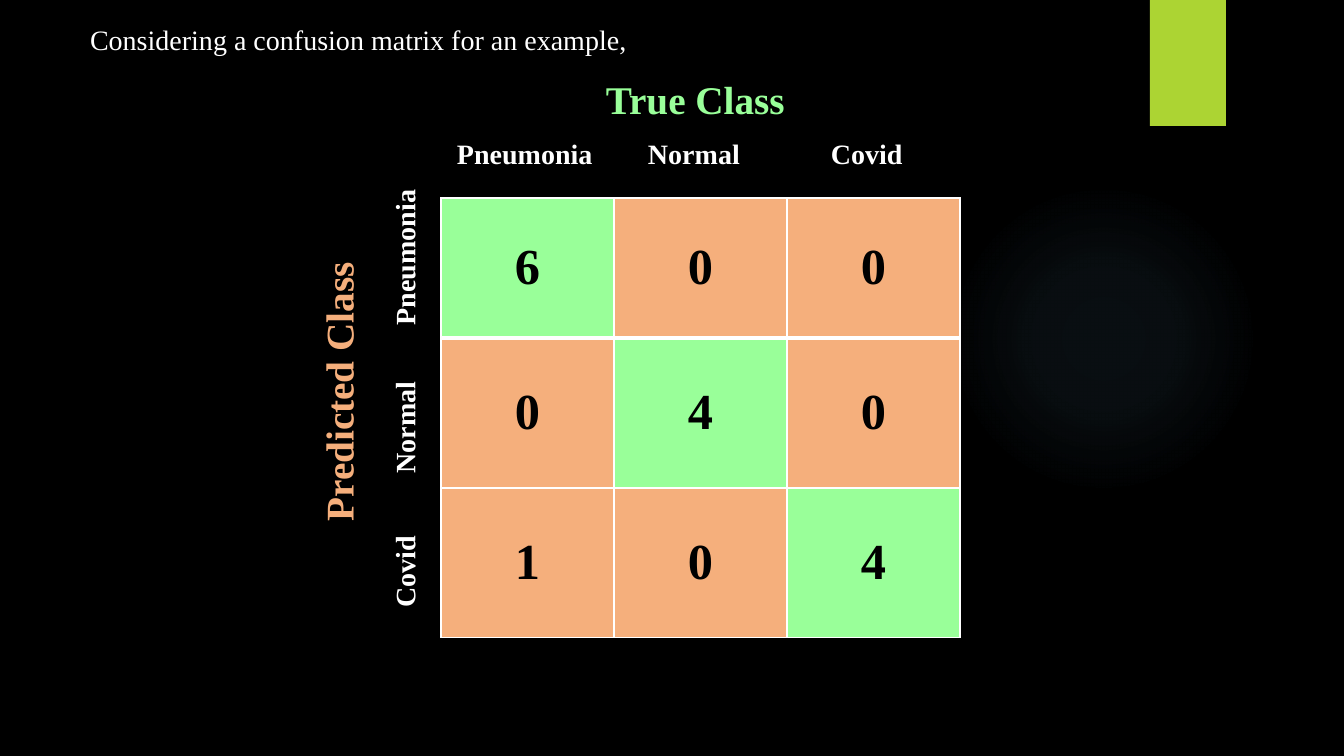
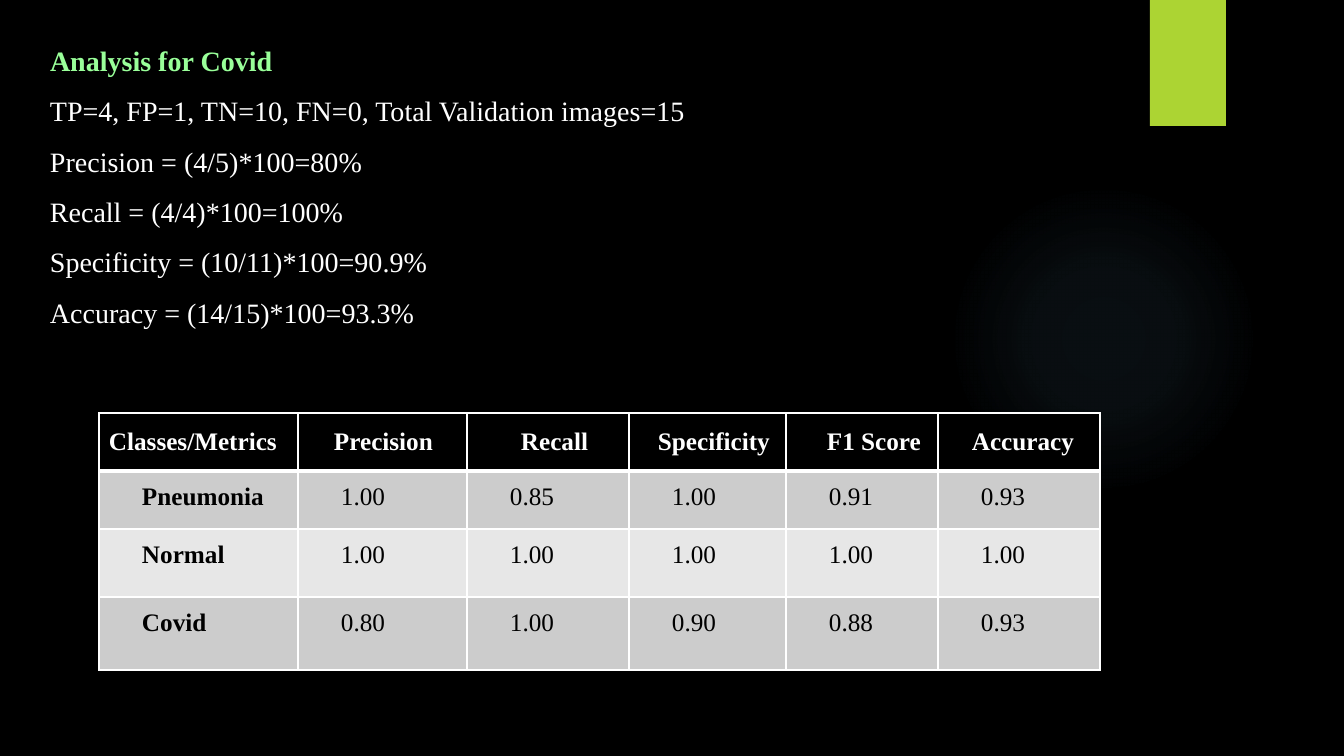
from pptx import Presentation
from pptx.dml.color import RGBColor
from pptx.enum.shapes import MSO_SHAPE
from pptx.enum.text import MSO_ANCHOR, MSO_AUTO_SIZE, PP_ALIGN
from pptx.oxml import parse_xml
from pptx.oxml.ns import nsdecls
from pptx.util import Emu, Pt

LEFT, CENTER = PP_ALIGN.LEFT, PP_ALIGN.CENTER
TOP, MIDDLE = MSO_ANCHOR.TOP, MSO_ANCHOR.MIDDLE
RECT, OVAL = MSO_SHAPE.RECTANGLE, MSO_SHAPE.OVAL
TITLE_ONLY = 5
FONT = "Times New Roman"
COLORS = {
    "black": "000000",
    "white": "FFFFFF",
    "lime": "ACD433",
    "green": "99FF99",
    "orange": "F5AF7C",
    "glow": "7AC4F0",
    "band_dark": "CCCCCC",
    "band_light": "E7E7E7",
}
GLOW_STOPS = [(0, 7), (36, 6), (69, 0)]  # position %, opacity %
CELL_INSETS = (10, 5, 10, 5)
VALUE_INSETS = (43, 12, 31, 5)

CLASSES = ["Pneumonia", "Normal", "Covid"]
CONFUSION = [[6, 0, 0], [0, 4, 0], [1, 0, 4]]
# Header text and its left inset
METRICS = [("Classes/Metrics", 10), ("Precision", 36), ("Recall", 54),
           ("Specificity", 29), ("F1 Score", 41), ("Accuracy", 34)]
SCORES = [
    ["1.00", "0.85", "1.00", "0.91", "0.93"],
    ["1.00", "1.00", "1.00", "1.00", "1.00"],
    ["0.80", "1.00", "0.90", "0.88", "0.93"],
]
ANALYSIS = [
    "TP=4, FP=1, TN=10, FN=0, Total Validation images=15",
    "Precision = (4/5)*100=80%",
    "Recall = (4/4)*100=100%",
    "Specificity = (10/11)*100=90.9%",
    "Accuracy = (14/15)*100=93.3%",
]


def px(n):
    return Emu(round(n * 914400 / 100.8))


def rgb(name):
    return RGBColor.from_string(COLORS[name])


def place(sp, x, y, w, h):
    sp.left, sp.top, sp.width, sp.height = px(x), px(y), px(w), px(h)


def style(p, size, color, bold=False, align=LEFT):
    p.alignment = align
    p.font.name, p.font.size, p.font.bold = FONT, Pt(size), bold
    p.font.color.rgb = rgb(color)


def set_insets(box, insets):
    box.margin_left, box.margin_top, box.margin_right, box.margin_bottom = map(px, insets)


def add_tabs(p, stops):
    tabs = "".join(f'<a:tab pos="{px(s)}" algn="l"/>' for s in stops)
    p._p.get_or_add_pPr().append(
        parse_xml(f'<a:tabLst {nsdecls("a")}>{tabs}</a:tabLst>'))


def add_text(s, lines, box, size, color, bold=False, spacing=None,
             rotation=0, inset=10, tabs=()):
    sp = s.shapes.add_textbox(*map(px, box))
    sp.rotation = rotation
    tf = sp.text_frame
    tf.word_wrap = True
    set_insets(tf, (inset, 5, 10, 5))
    for i, line in enumerate(lines):
        p = tf.add_paragraph() if i else tf.paragraphs[0]
        p.text = line
        if tabs:
            add_tabs(p, tabs)
        if spacing:
            p.line_spacing = spacing
        style(p, size, color, bold)


def add_titled_slide(prs, text, box, color, bold=False, spacing=1.0):
    s = prs.slides.add_slide(prs.slide_layouts[TITLE_ONLY])
    place(s.shapes.title, *box)
    tf = s.shapes.title.text_frame
    tf.text = text
    tf.word_wrap = True
    tf.auto_size = MSO_AUTO_SIZE.NONE
    tf.vertical_anchor = TOP
    set_insets(tf, CELL_INSETS)
    p = tf.paragraphs[0]
    p.line_spacing = spacing
    style(p, 20, color, bold)
    return s


def add_table(s, x, y, widths, heights):
    frame = s.shapes.add_table(len(heights), len(widths), px(x), px(y),
                               px(sum(widths)), px(sum(heights)))
    table = frame.table
    table.horz_banding = False
    for col, w in zip(table.columns, widths):
        col.width = px(w)
    for row, h in zip(table.rows, heights):
        row.height = px(h)
    return table


def fill_cell(table, row, col, text, fill, size, color="black", bold=False,
              align=LEFT, anchor=MIDDLE, insets=CELL_INSETS):
    cell = table.cell(row, col)
    cell.text = text
    cell.vertical_anchor = anchor
    set_insets(cell, insets)
    style(cell.text_frame.paragraphs[0], size, color, bold, align)
    cell.fill.solid()
    cell.fill.fore_color.rgb = rgb(fill)
    # White grid with a heavier rule under the first row
    widths = {"L": 1, "R": 1, "T": 3 if row == 1 else 1, "B": 3 if row == 0 else 1}
    for i, (side, w) in enumerate(widths.items()):
        cell._tc.get_or_add_tcPr().insert(i, parse_xml(
            f'<a:ln{side} {nsdecls("a")} w="{Pt(w)}"><a:solidFill>'
            f'<a:srgbClr val="{COLORS["white"]}"/></a:solidFill></a:ln{side}>'))


def add_plain_shape(s, kind, box):
    sp = s.shapes.add_shape(kind, *map(px, box))
    sp.shadow.inherit = False
    sp.line.fill.background()
    return sp


def decorate_master(prs, s):
    """Black background, soft glow and lime band, shared through the master."""
    master = prs.slide_master
    master.background.fill.solid()
    master.background.fill.fore_color.rgb = rgb("black")

    glow = add_plain_shape(s, OVAL, (949, 184, 310, 310))
    stops = "".join(
        f'<a:gs pos="{pos * 1000}"><a:srgbClr val="{COLORS["glow"]}">'
        f'<a:alpha val="{alpha * 1000}"/></a:srgbClr></a:gs>'
        for pos, alpha in GLOW_STOPS)
    glow.element.spPr.insert(2, parse_xml(
        f'<a:gradFill {nsdecls("a")}><a:gsLst>{stops}</a:gsLst><a:path path="circle">'
        '<a:fillToRect l="50000" t="50000" r="50000" b="50000"/></a:path></a:gradFill>'))

    band = add_plain_shape(s, RECT, (1150, 0, 76, 126))
    band.fill.solid()
    band.fill.fore_color.rgb = rgb("lime")

    # Behind the master's placeholders
    for i, sp in enumerate((glow, band), start=2):
        master.shapes.element.insert(i, sp.element)


def build_confusion_slide(prs):
    s = add_titled_slide(prs, "Considering a confusion matrix for an example,",
                         (80, 17, 649, 44), "white")
    # Matrix
    table = add_table(s, 441, 198, [173] * 3, [140, 150, 150])
    table.first_row = False
    for r, counts in enumerate(CONFUSION):
        for c, count in enumerate(counts):
            fill_cell(table, r, c, str(count), "green" if r == c else "orange",
                      36, bold=True, align=CENTER)
    # Class labels along both axes
    add_text(s, ["\t".join(CLASSES)], (426, 131, 517, 44), 20, "white", True,
             inset=31, tabs=(191, 374))
    add_text(s, ["\t".join(reversed(CLASSES))], (168, 380, 473, 44), 20, "white",
             True, rotation=270, inset=31, tabs=(134, 282))
    # Axis titles
    add_text(s, ["Predicted Class"], (198, 363, 280, 57), 28, "orange", True,
             rotation=270)
    add_text(s, ["True Class"], (596, 70, 354, 57), 28, "green", True)
    return s


def build_analysis_slide(prs):
    s = add_titled_slide(prs, "Analysis for Covid", (40, 22, 1068, 50),
                         "green", True, spacing=1.5)
    add_text(s, ANALYSIS, (40, 72, 1068, 262), 20, "white", spacing=1.5)
    # Metrics table
    table = add_table(s, 99, 413, [199, 169, 162, 157, 152, 162], [58, 58, 68, 73])
    for c, (name, indent) in enumerate(METRICS):
        fill_cell(table, 0, c, name, "black", 18, "white", True,
                  insets=(indent, 5, 10, 5))
    for r, (name, scores) in enumerate(zip(CLASSES, SCORES), start=1):
        for c, text in enumerate([name, *scores]):
            fill_cell(table, r, c, text, "band_dark" if r % 2 else "band_light", 18,
                      bold=c == 0, anchor=TOP, insets=VALUE_INSETS)


def main():
    prs = Presentation()
    prs.slide_width, prs.slide_height = px(1344), px(756)
    decorate_master(prs, build_confusion_slide(prs))
    build_analysis_slide(prs)
    prs.save("out.pptx")


if __name__ == "__main__":
    main()
